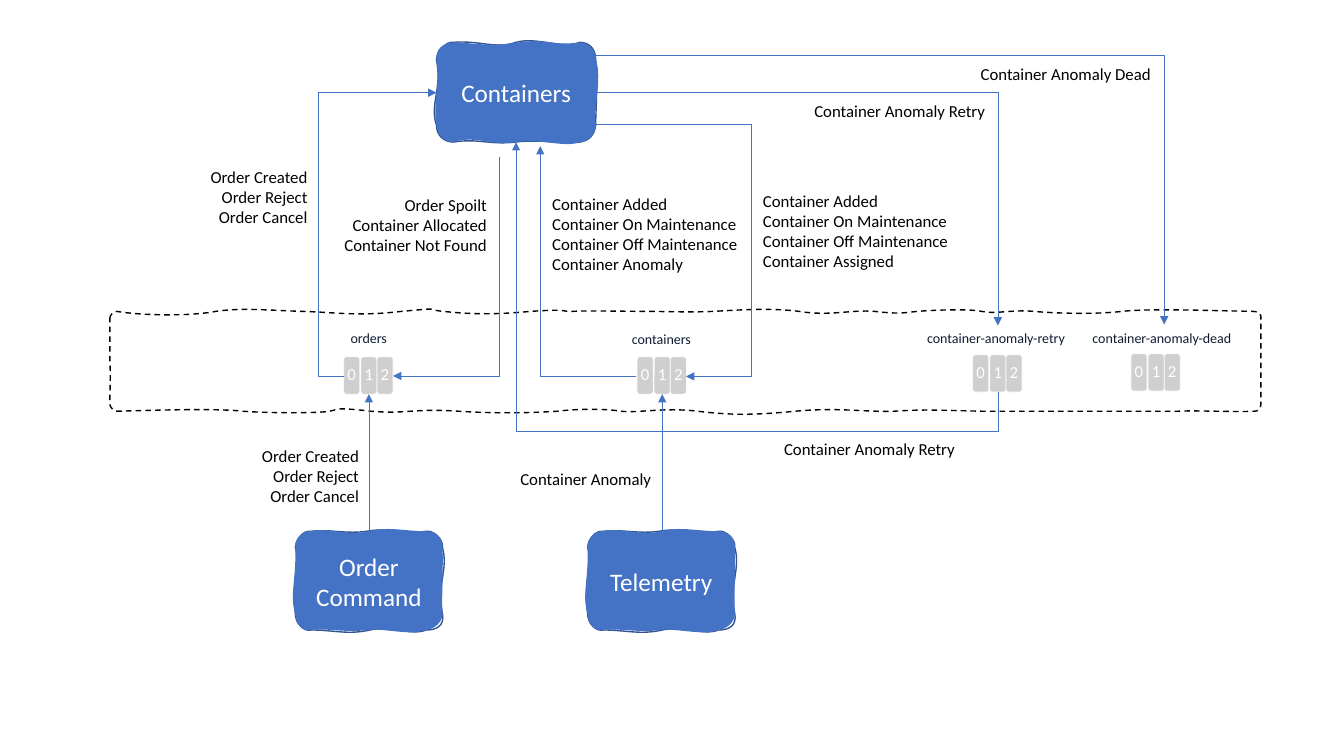
from dataclasses import dataclass
from typing import NamedTuple

from lxml.etree import SubElement
from pptx import Presentation
from pptx.dml.color import RGBColor
from pptx.enum.dml import MSO_LINE
from pptx.enum.shapes import MSO_CONNECTOR, MSO_SHAPE
from pptx.enum.text import MSO_ANCHOR, MSO_AUTO_SIZE, PP_ALIGN
from pptx.oxml.ns import qn
from pptx.util import Inches, Pt

BLUE, DARK_BLUE, GREY, WHITE, BLACK, NAVY = "4472C4", "325491", "D0CECE", "FFFFFF", "000000", "101C32"
TILE_OFFSETS = (0, 0.17, 0.33)

# Each outline is a start point followed by cubic curves: two control points and an end point.
SERVICE_OUTLINE = [
    (2.93, 5.43), (2.94, 5.35, 3, 5.26, 3.09, 5.27), (3.3, 5.25, 3.43, 5.3, 3.64, 5.27),
    (3.85, 5.23, 4.01, 5.31, 4.23, 5.27), (4.3, 5.26, 4.4, 5.35, 4.39, 5.43),
    (4.45, 5.65, 4.33, 5.8, 4.39, 6.09), (4.41, 6.2, 4.34, 6.25, 4.23, 6.25),
    (4.07, 6.31, 3.89, 6.2, 3.67, 6.25), (3.45, 6.3, 3.31, 6.25, 3.09, 6.25),
    (3.01, 6.27, 2.93, 6.18, 2.93, 6.09), (2.89, 5.76, 2.98, 5.6, 2.93, 5.43)]
SERVICE_FILL = [
    (2.93, 5.43), (2.91, 5.36, 3.01, 5.25, 3.09, 5.27), (3.24, 5.23, 3.47, 5.32, 3.66, 5.27),
    (3.85, 5.22, 4.02, 5.27, 4.23, 5.27), (4.34, 5.27, 4.4, 5.36, 4.39, 5.43),
    (4.4, 5.57, 4.38, 5.94, 4.39, 6.09), (4.39, 6.18, 4.3, 6.24, 4.23, 6.25),
    (4.06, 6.31, 3.83, 6.23, 3.64, 6.25), (3.44, 6.28, 3.25, 6.23, 3.09, 6.25),
    (3.01, 6.27, 2.93, 6.19, 2.93, 6.09), (2.87, 5.91, 2.94, 5.75, 2.93, 5.43)]
CONTAINERS_OUTLINE = [
    (4.33, 0.59), (4.34, 0.51, 4.42, 0.41, 4.5, 0.42), (4.77, 0.4, 4.92, 0.49, 5.12, 0.42),
    (5.33, 0.36, 5.61, 0.5, 5.75, 0.42), (5.84, 0.42, 5.91, 0.48, 5.91, 0.59),
    (5.93, 0.91, 5.91, 1.09, 5.91, 1.24), (5.9, 1.34, 5.84, 1.4, 5.75, 1.41),
    (5.61, 1.43, 5.36, 1.38, 5.11, 1.41), (4.86, 1.44, 4.74, 1.37, 4.5, 1.41),
    (4.4, 1.41, 4.33, 1.34, 4.33, 1.24), (4.26, 1.03, 4.39, 0.89, 4.33, 0.59)]
CONTAINERS_FILL = [
    (4.33, 0.59), (4.32, 0.49, 4.39, 0.43, 4.5, 0.42), (4.65, 0.42, 4.84, 0.47, 5.15, 0.42),
    (5.45, 0.38, 5.48, 0.46, 5.75, 0.42), (5.83, 0.42, 5.93, 0.51, 5.91, 0.59),
    (5.98, 0.77, 5.88, 1.11, 5.91, 1.24), (5.92, 1.31, 5.82, 1.42, 5.75, 1.41),
    (5.61, 1.47, 5.35, 1.37, 5.12, 1.41), (4.89, 1.45, 4.7, 1.34, 4.5, 1.41),
    (4.38, 1.41, 4.34, 1.31, 4.33, 1.24), (4.29, 1.03, 4.37, 0.83, 4.33, 0.59)]
BROKER_OUTLINE = [
    (1.09, 3.16), (1.09, 3.12, 1.13, 3.09, 1.16, 3.09), (1.4, 3.13, 1.88, 3.14, 2.14, 3.09),
    (2.4, 3.05, 2.67, 3.08, 3.01, 3.09), (3.35, 3.1, 3.55, 3.14, 3.98, 3.09),
    (4.42, 3.05, 4.19, 3.07, 4.4, 3.09), (4.6, 3.11, 4.84, 3.13, 5.26, 3.09),
    (5.69, 3.06, 5.57, 3.1, 5.68, 3.09), (5.78, 3.08, 6.27, 3.09, 6.43, 3.09),
    (6.59, 3.09, 6.87, 3.1, 7.07, 3.09), (7.27, 3.08, 7.62, 3.05, 7.93, 3.09),
    (8.24, 3.14, 8.44, 3.07, 8.68, 3.09), (8.93, 3.12, 8.99, 3.1, 9.1, 3.09),
    (9.2, 3.08, 9.61, 3.06, 9.74, 3.09), (9.87, 3.12, 10.04, 3.07, 10.26, 3.09),
    (10.48, 3.11, 10.87, 3.12, 11.13, 3.09), (11.39, 3.06, 11.93, 3.08, 12.44, 3.09),
    (12.48, 3.09, 12.52, 3.12, 12.51, 3.16), (12.51, 3.33, 12.51, 3.41, 12.51, 3.56),
    (12.51, 3.71, 12.51, 3.84, 12.51, 4.01), (12.51, 4.04, 12.48, 4.09, 12.44, 4.08),
    (12.27, 4.09, 11.85, 4.07, 11.69, 4.08), (11.53, 4.08, 11.15, 4.08, 10.71, 4.08),
    (10.28, 4.08, 10.18, 4.08, 9.74, 4.08), (9.3, 4.07, 9.18, 4.06, 8.87, 4.08),
    (8.57, 4.09, 8.32, 4.04, 7.89, 4.08), (7.47, 4.12, 7.26, 4.12, 6.92, 4.08),
    (6.58, 4.04, 6.34, 4.1, 6.16, 4.08), (5.99, 4.05, 5.68, 4.06, 5.53, 4.08),
    (5.37, 4.09, 5.02, 4.11, 4.55, 4.08), (4.08, 4.05, 4.05, 4.11, 3.68, 4.08),
    (3.32, 4.04, 3.37, 4.06, 3.27, 4.08), (3.17, 4.1, 2.68, 4.1, 2.41, 4.08),
    (2.13, 4.05, 1.57, 4.07, 1.16, 4.08), (1.13, 4.08, 1.09, 4.04, 1.09, 4.01),
    (1.09, 3.84, 1.1, 3.72, 1.09, 3.6), (1.09, 3.48, 1.09, 3.34, 1.09, 3.16)]


@dataclass
class Queue:
    name: str
    left: float
    top: float
    label_left: float
    label_top: float
    label_width: float


class Label(NamedTuple):
    text: str
    left: float
    top: float
    width: float
    height: float
    align: PP_ALIGN = PP_ALIGN.LEFT
    wrap: bool = False


class Elbow(NamedTuple):
    """A bent arrow in its frame before rotation."""
    left: float
    top: float
    width: float
    height: float
    rotation: int = 0
    flipped: bool = False
    bends: int = 2
    adjustments: tuple = ()


QUEUES = [
    Queue("orders", 3.41, 3.54, 3.38, 3.22, 0.57),
    Queue("containers", 6.32, 3.54, 6.17, 3.23, 0.8),
    Queue("container-anomaly-retry", 9.65, 3.52, 9.1, 3.22, 1.6),
    Queue("container-anomaly-dead", 11.22, 3.51, 10.74, 3.22, 1.6)]
ORDER_EVENTS = "Order Created\nOrder Reject\nOrder Cancel"
CONTAINER_EVENTS = "Container Added\vContainer On Maintenance\vContainer Off Maintenance\v"
LABELS = [
    Label(ORDER_EVENTS, 2.37, 4.37, 1.29, 0.71, PP_ALIGN.RIGHT, True),
    Label(ORDER_EVENTS, 1.45, 1.6, 1.7, 0.71, PP_ALIGN.RIGHT, True),
    Label("Order Spoilt\vContainer Allocated\vContainer Not Found", 3.3, 1.88, 1.63, 0.71, PP_ALIGN.RIGHT),
    Label(CONTAINER_EVENTS + "Container Anomaly", 5.38, 1.87, 2.06, 0.91),
    Label(CONTAINER_EVENTS + "Container Assigned", 7.47, 1.84, 2.06, 0.91),
    Label("Container Anomaly Retry", 7.68, 4.3, 1.91, 0.3),
    Label("Container Anomaly Retry", 7.98, 0.95, 1.91, 0.3),
    Label("Container Anomaly Dead", 9.63, 0.58, 1.91, 0.3),
    Label("Container Anomaly", 5.01, 4.6, 1.55, 0.3, PP_ALIGN.RIGHT)]
ELBOWS = [
    Elbow(3.34, 2.12, 2.17, 1.05, 90),
    Elbow(3.41, 0.92, 0.92, 2.81, 180, True, 3, (-0.271,)),
    Elbow(5.09, 2.02, 2.52, 0.91, 270, True, 4, (0.007, 1.713)),
    Elbow(5.36, 1.45, 0.95, 2.28, 180),
    Elbow(6.27, 0.26, 2.48, 4.78, 90, True, 3, (-0.156,)),
    Elbow(5.91, 0.92, 3.99, 2.31),
    Elbow(5.91, 0.55, 5.64, 2.67)]


def color(value: str) -> RGBColor:
    return RGBColor.from_string(value)


def write_text(shape, text: str, size: float, text_color: str, align: PP_ALIGN) -> None:
    shape.text_frame.text = text
    for paragraph in shape.text_frame.paragraphs:
        paragraph.alignment = align
        paragraph.font.size = Pt(size)
        paragraph.font.name = "Calibri"
        paragraph.font.color.rgb = color(text_color)


def add_label(shapes, label: Label, size: float = 12, text_color: str = BLACK) -> None:
    box = shapes.add_textbox(*map(Inches, (label.left, label.top, label.width, label.height)))
    write_text(box, label.text, size, text_color, label.align)
    box.text_frame.word_wrap = label.wrap
    box.text_frame.auto_size = MSO_AUTO_SIZE.SHAPE_TO_FIT_TEXT


def add_sketch(shapes, outlines: list, line_color: str, dx: float = 0):
    """Add an unfilled freeform of closed curves; a second outline carries only the fill."""
    builder = None
    for (x, y), *curves in outlines:
        start = Inches(x + dx), Inches(y)
        if builder is None:
            builder = shapes.build_freeform(*start)
        else:
            builder.move_to(*start)
        builder.add_line_segments([(Inches(curve[i] + dx), Inches(curve[i + 1]))
                                   for curve in curves for i in (0, 2, 4)], close=True)
    shape = builder.convert_to_shape()
    contours = shape._element.spPr.find(".//" + qn("a:pathLst"))
    drawn = contours[0]
    size = dict(drawn.attrib)
    steps = list(drawn)
    contours.remove(drawn)
    for step in steps:
        if step.tag == qn("a:moveTo"):
            contour = SubElement(contours, qn("a:path"), **size)
        if step.tag != qn("a:lnTo"):
            contour.append(step)
            continue
        if contour[-1].tag != qn("a:cubicBezTo") or len(contour[-1]) == 3:
            SubElement(contour, qn("a:cubicBezTo"))
        contour[-1].append(step[0])
    if len(contours) == 2:
        contours[0].set("fill", "none")
        contours[1].set("stroke", "0")
    shape.shadow.inherit = False
    shape.fill.background()
    set_line(shape, line_color, 1)
    return shape


def set_line(shape, line_color: str, width: float) -> None:
    shape.line.color.rgb = color(line_color)
    shape.line.width = Pt(width)


def add_service(shapes, name: str, outlines: list, dx: float = 0) -> None:
    service = add_sketch(shapes, outlines, DARK_BLUE, dx)
    service.fill.solid()
    service.fill.fore_color.rgb = color(BLUE)
    write_text(service, name, 18, WHITE, PP_ALIGN.CENTER)
    service.text_frame.word_wrap = True
    service.text_frame.vertical_anchor = MSO_ANCHOR.MIDDLE


def add_queue(shapes, queue: Queue) -> list:
    """Add the named group of partitions and return the partition tiles."""
    group = shapes.add_group_shape()
    tiles = []
    for number, offset in enumerate(TILE_OFFSETS):
        tile = group.shapes.add_shape(MSO_SHAPE.ROUNDED_RECTANGLE, Inches(queue.left + offset),
                                      Inches(queue.top), Inches(0.16), Inches(0.37))
        tile.shadow.inherit = False
        tile.fill.solid()
        tile.fill.fore_color.rgb = color(GREY)
        set_line(tile, WHITE, 0.5)
        write_text(tile, str(number), 12, WHITE, PP_ALIGN.CENTER)
        frame = tile.text_frame
        frame.margin_left = frame.margin_right = frame.margin_top = frame.margin_bottom = 0
        frame.vertical_anchor = MSO_ANCHOR.MIDDLE
        frame.paragraphs[0].line_spacing = 0.9
        tiles.append(tile)
    add_label(group.shapes, Label(queue.name, queue.label_left, queue.label_top, queue.label_width, 0.27), 10, NAVY)
    return tiles


def add_arrow(shapes, kind: MSO_CONNECTOR, x1: float, y1: float, x2: float, y2: float):
    arrow = shapes.add_connector(kind, *map(Inches, (x1, y1, x2, y2)))
    set_line(arrow, BLUE, 0.5)
    SubElement(arrow.line._get_or_add_ln(), qn("a:tailEnd"), type="triangle")
    SubElement(arrow._element.spPr, qn("a:effectLst"))
    return arrow


def add_elbow(shapes, elbow: Elbow) -> None:
    ends = (elbow.left, elbow.left + elbow.width)
    x1, x2 = reversed(ends) if elbow.flipped else ends
    arrow = add_arrow(shapes, MSO_CONNECTOR.ELBOW, x1, elbow.top, x2, elbow.top + elbow.height)
    properties = arrow._element.spPr
    properties.find(qn("a:xfrm")).set("rot", str(elbow.rotation * 60000))
    geometry = properties.find(qn("a:prstGeom"))
    geometry.set("prst", f"bentConnector{elbow.bends}")
    guides = geometry.find(qn("a:avLst"))
    for number, value in enumerate(elbow.adjustments, 1):
        SubElement(guides, qn("a:gd"), name=f"adj{number}", fmla=f"val {round(value * 100000)}")


def main() -> None:
    presentation = Presentation()
    presentation.slide_width, presentation.slide_height = Inches(40 / 3), Inches(7.5)
    shapes = presentation.slides.add_slide(presentation.slide_layouts[6]).shapes
    add_service(shapes, "Order Command", [SERVICE_OUTLINE, SERVICE_FILL])
    add_service(shapes, "Containers", [CONTAINERS_OUTLINE, CONTAINERS_FILL])
    add_sketch(shapes, [BROKER_OUTLINE], BLACK).line.dash_style = MSO_LINE.DASH
    orders, containers, *_ = [add_queue(shapes, queue) for queue in QUEUES]
    for elbow in ELBOWS:
        add_elbow(shapes, elbow)
    add_service(shapes, "Telemetry", [SERVICE_OUTLINE, SERVICE_FILL], 2.9)
    for tiles, x in ((orders, 3.66), (containers, 6.57)):
        add_arrow(shapes, MSO_CONNECTOR.STRAIGHT, x, 5.27, x, 3.91).end_connect(tiles[1], 2)
    for label in LABELS:
        add_label(shapes, label)
    presentation.save("out.pptx")


if __name__ == "__main__":
    main()
